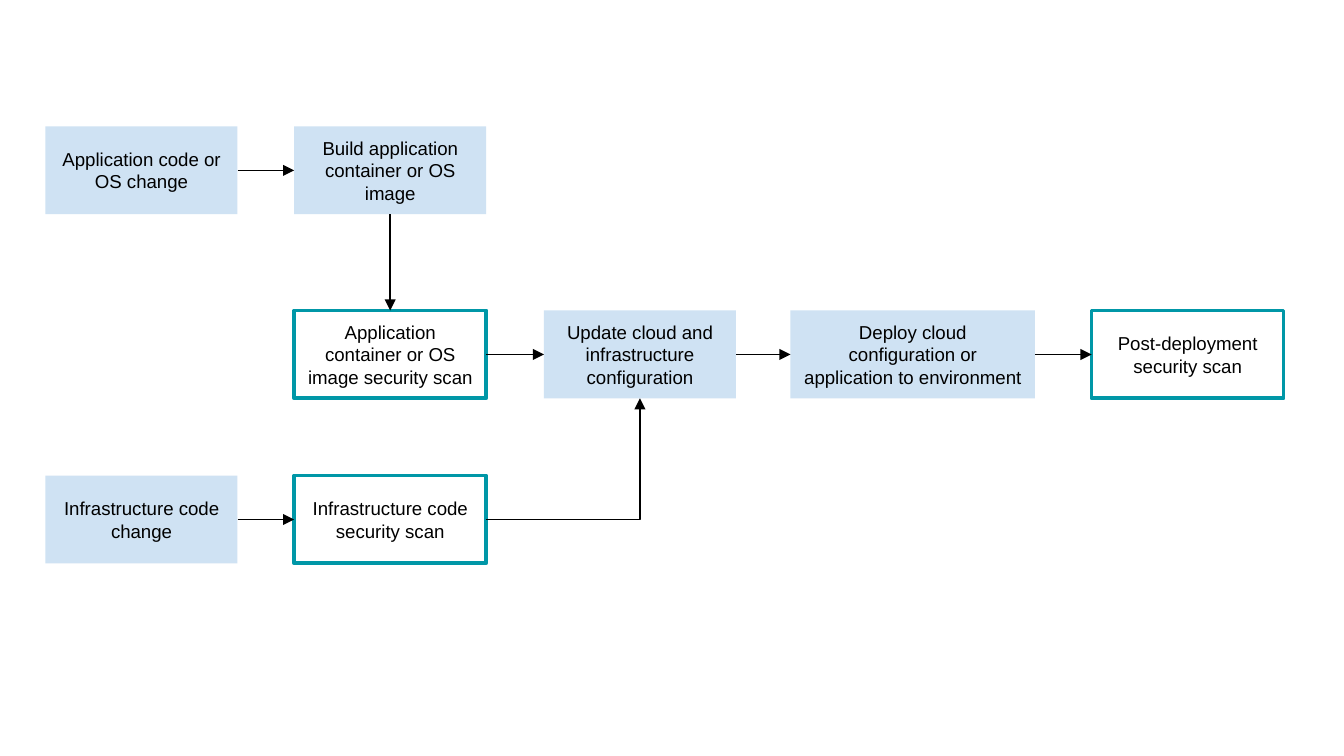
from lxml.etree import SubElement
from pptx import Presentation
from pptx.dml.color import RGBColor
from pptx.enum.shapes import MSO_CONNECTOR, MSO_SHAPE
from pptx.enum.text import MSO_ANCHOR, PP_ALIGN
from pptx.oxml.ns import qn
from pptx.util import Cm, Pt

COLORS = {"step": "CFE2F3", "scan": "FFFFFF", "edge": "0097A7", "ink": "000000"}
COLS = [0.86, 5.56, 10.28, 14.94, 20.63]
ROWS = [2.39, 5.87, 8.99]
WIDTH, WIDE, HEIGHT = 3.63, 4.62, 1.66
INSET = 0.25
TOP, LEFT, BOTTOM, RIGHT = range(4)

# key: (text, kind, column, row, width)
BOXES = {
    "code": ("Application code or OS change", "step", 0, 0, WIDTH),
    "build": ("Build application container or OS image", "step", 1, 0, WIDTH),
    "image": ("Application container or OS image security scan", "scan", 1, 1, WIDTH),
    "update": ("Update cloud and infrastructure configuration", "step", 2, 1, WIDTH),
    "deploy": ("Deploy cloud configuration or application to environment",
               "step", 3, 1, WIDE),
    "post": ("Post-deployment security scan", "scan", 4, 1, WIDTH),
    "infra": ("Infrastructure code change", "step", 0, 2, WIDTH),
    "check": ("Infrastructure code security scan", "scan", 1, 2, WIDTH),
}

# (from box, side, to box, side)
FLOWS = [
    ("code", RIGHT, "build", LEFT),
    ("build", BOTTOM, "image", TOP),
    ("image", RIGHT, "update", LEFT),
    ("update", RIGHT, "deploy", LEFT),
    ("deploy", RIGHT, "post", LEFT),
    ("infra", RIGHT, "check", LEFT),
    ("check", RIGHT, "update", BOTTOM),
]


def color(name):
    return RGBColor.from_string(COLORS[name])


def add_box(slide, text, kind, col, row, width):
    box = slide.shapes.add_shape(MSO_SHAPE.RECTANGLE, Cm(COLS[col]), Cm(ROWS[row]),
                                 Cm(width), Cm(HEIGHT))
    box.shadow.inherit = False
    box.fill.solid()
    box.fill.fore_color.rgb = color(kind)
    if kind == "scan":
        box.line.color.rgb = color("edge")
        box.line.width = Pt(2)
    else:
        box.line.fill.background()

    frame = box.text_frame
    frame.word_wrap = True
    frame.vertical_anchor = MSO_ANCHOR.MIDDLE
    frame.margin_left = frame.margin_right = Cm(INSET)
    frame.margin_top = frame.margin_bottom = Cm(INSET)
    frame.text = text
    para = frame.paragraphs[0]
    para.alignment = PP_ALIGN.CENTER
    font = para.runs[0].font
    font.name, font.size = "Arial", Pt(10)
    font.color.rgb = color("ink")
    return box


def add_flow(slide, start, out, end, into):
    bent = out == RIGHT and into == BOTTOM
    kind = MSO_CONNECTOR.ELBOW if bent else MSO_CONNECTOR.STRAIGHT
    flow = slide.shapes.add_connector(kind, 0, 0, 0, 0)
    flow.begin_connect(start, out)
    flow.end_connect(end, into)
    flow.line.color.rgb = color("ink")
    flow.line.width = Pt(0.75)

    # Single-corner elbow, arrowhead and no shadow
    props = flow._element.spPr
    if bent:
        props.find(qn("a:prstGeom")).set("prst", "bentConnector2")
    SubElement(props.find(qn("a:ln")), qn("a:tailEnd"), type="triangle")
    SubElement(props, qn("a:effectLst"))


def main():
    deck = Presentation()
    deck.slide_width, deck.slide_height = Cm(25.4), Cm(14.29)
    slide = deck.slides.add_slide(deck.slide_layouts[6])

    # Process boxes
    boxes = {key: add_box(slide, *spec) for key, spec in BOXES.items()}

    # Arrows between them
    for start, out, end, into in FLOWS:
        add_flow(slide, boxes[start], out, boxes[end], into)

    deck.save("out.pptx")


if __name__ == "__main__":
    main()
